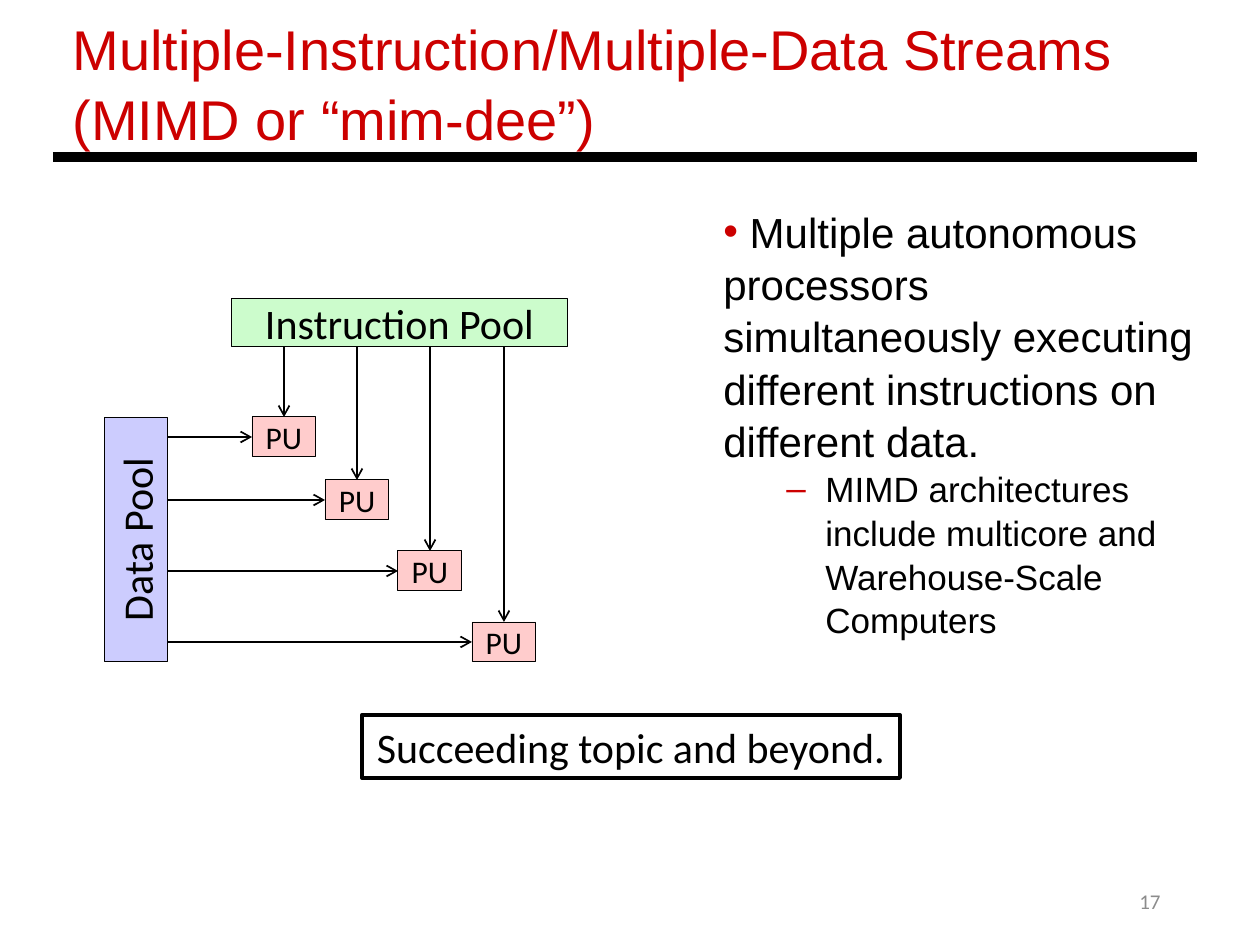
"""Build the MIMD slide: instruction and data pools feeding four processing units."""
from typing import NamedTuple, Optional

from lxml import etree
from pptx import Presentation
from pptx.dml.color import RGBColor
from pptx.enum.shapes import MSO_CONNECTOR, MSO_SHAPE
from pptx.enum.text import MSO_ANCHOR, PP_ALIGN
from pptx.oxml.ns import qn
from pptx.util import Emu, Pt

STRAIGHT = MSO_CONNECTOR.STRAIGHT
RECTANGLE = MSO_SHAPE.RECTANGLE
LEFT, CENTER, RIGHT = PP_ALIGN.LEFT, PP_ALIGN.CENTER, PP_ALIGN.RIGHT
TOP, MIDDLE = MSO_ANCHOR.TOP, MSO_ANCHOR.MIDDLE
TOP_SITE, LEFT_SITE = 0, 1

BLACK = RGBColor(0x00, 0x00, 0x00)
RED = RGBColor(0xCC, 0x00, 0x00)
GRAY = RGBColor(0x8C, 0x8C, 0x8C)
GREEN = RGBColor(0xCC, 0xFC, 0xCC)
PINK = RGBColor(0xFF, 0xCC, 0xCC)
LAVENDER = RGBColor(0xCC, 0xCC, 0xFE)

PX_PER_INCH = 126
ARIAL_SPACING = 1.04
UNIT_WIDTH, UNIT_HEIGHT = 64, 40
POOL_BOTTOM, POOL_RIGHT = 347, 168


class Box(NamedTuple):
    left: int
    top: int
    width: int
    height: int
    text: str
    size: int
    fill: Optional[RGBColor]
    border: float = 0.5
    rotation: int = 0
    wrap: bool = True


class Bullet(NamedTuple):
    text: str
    size: int
    mark: str
    margin: int
    indent: int


INSTRUCTION_POOL = Box(231, 299, 337, 48, "Instruction Pool", 24, GREEN)
DATA_POOL = Box(14, 508, 244, 63, "Data Pool", 24, LAVENDER, rotation=270)
CONCLUSION = Box(362, 715, 538, 63, "Succeeding topic and beyond.", 24, None, 2.25, wrap=False)
UNITS = [
    Box(left, top, UNIT_WIDTH, UNIT_HEIGHT, "PU", 18, PINK)
    for left, top in ((252, 417), (325, 480), (398, 551), (472, 622))
]
BULLETS = [
    Bullet(" Multiple autonomous processors simultaneously executing "
           "different instructions on different data.", 24, "•", 0, 0),
    Bullet("MIMD architectures include multicore and Warehouse-Scale Computers",
           20, "–", 102, -39),
]


def px(length: int) -> Emu:
    return Emu(round(length * 914400 / PX_PER_INCH))


def set_font(paragraph, name: str, size: int, color: RGBColor) -> None:
    paragraph.font.name = name
    paragraph.font.size = Pt(size)
    paragraph.font.color.rgb = color


def add_frame(slide, left: int, top: int, width: int, height: int, anchor=TOP):
    frame = slide.shapes.add_textbox(px(left), px(top), px(width), px(height)).text_frame
    frame.word_wrap = True
    frame.vertical_anchor = anchor
    return frame


def add_box(slide, box: Box):
    shape = slide.shapes.add_shape(
        RECTANGLE, px(box.left), px(box.top), px(box.width), px(box.height))
    shape.shadow.inherit = False
    shape.rotation = box.rotation
    if box.fill is None:
        shape.fill.background()
    else:
        shape.fill.solid()
        shape.fill.fore_color.rgb = box.fill
    shape.line.color.rgb = BLACK
    shape.line.width = Pt(box.border)
    frame = shape.text_frame
    frame.word_wrap = box.wrap
    frame.vertical_anchor = MIDDLE
    paragraph = frame.paragraphs[0]
    paragraph.text = box.text
    paragraph.alignment = CENTER
    set_font(paragraph, "Calibri", box.size, BLACK)
    return shape


def add_line(slide, x1: int, y1: int, x2: int, y2: int, width: float):
    line = slide.shapes.add_connector(STRAIGHT, px(x1), px(y1), px(x2), px(y2))
    line.line.color.rgb = BLACK
    line.line.width = Pt(width)
    etree.SubElement(line._element.spPr, qn("a:effectLst"))
    return line


def add_arrow(slide, x: int, y: int, target, site: int) -> None:
    arrow = add_line(slide, x, y, x, y, 1)
    arrow.end_connect(target, site)
    etree.SubElement(arrow.line._get_or_add_ln(), qn("a:tailEnd"), type="arrow")


def add_bullet(paragraph, bullet: Bullet) -> None:
    paragraph.text = bullet.text
    paragraph.line_spacing = ARIAL_SPACING
    set_font(paragraph, "Arial", bullet.size, BLACK)
    properties = paragraph._p.get_or_add_pPr()
    properties.set("marL", str(px(bullet.margin)))
    properties.set("indent", str(px(bullet.indent)))
    mark_color = etree.Element(qn("a:buClr"))
    etree.SubElement(mark_color, qn("a:srgbClr"), val=str(RED))
    mark_font = etree.Element(qn("a:buFont"), typeface="Arial")
    mark = etree.Element(qn("a:buChar"), char=bullet.mark)
    defaults = properties.find(qn("a:defRPr"))
    for element in (mark_color, mark_font, mark):
        defaults.addprevious(element)


def main() -> None:
    presentation = Presentation()
    presentation.slide_width = px(10 * PX_PER_INCH)
    presentation.slide_height = px(945)
    slide = presentation.slides.add_slide(presentation.slide_layouts[6])

    page_number = add_frame(slide, 890, 876, 283, 50, MIDDLE).paragraphs[0]
    page_number.text = "17"
    page_number.alignment = RIGHT
    set_font(page_number, "Calibri", 12, GRAY)

    title = add_frame(slide, 60, 6, 1168, 149).paragraphs[0]
    title.text = "Multiple-Instruction/Multiple-Data Streams\n(MIMD or “mim-dee”)"
    title.alignment = LEFT
    title.line_spacing = ARIAL_SPACING
    set_font(title, "Arial", 32, RED)
    add_line(slide, 53, 157, 1197, 157, 6)

    body = add_frame(slide, 711, 198, 510, 488)
    for index, bullet in enumerate(BULLETS):
        add_bullet(body.add_paragraph() if index else body.paragraphs[0], bullet)

    add_box(slide, INSTRUCTION_POOL)
    add_box(slide, DATA_POOL)
    for unit in UNITS:
        processor = add_box(slide, unit)
        add_arrow(slide, POOL_RIGHT, unit.top + UNIT_HEIGHT // 2, processor, LEFT_SITE)
        add_arrow(slide, unit.left + UNIT_WIDTH // 2, POOL_BOTTOM, processor, TOP_SITE)
    add_box(slide, CONCLUSION)

    presentation.save("out.pptx")


if __name__ == "__main__":
    main()
